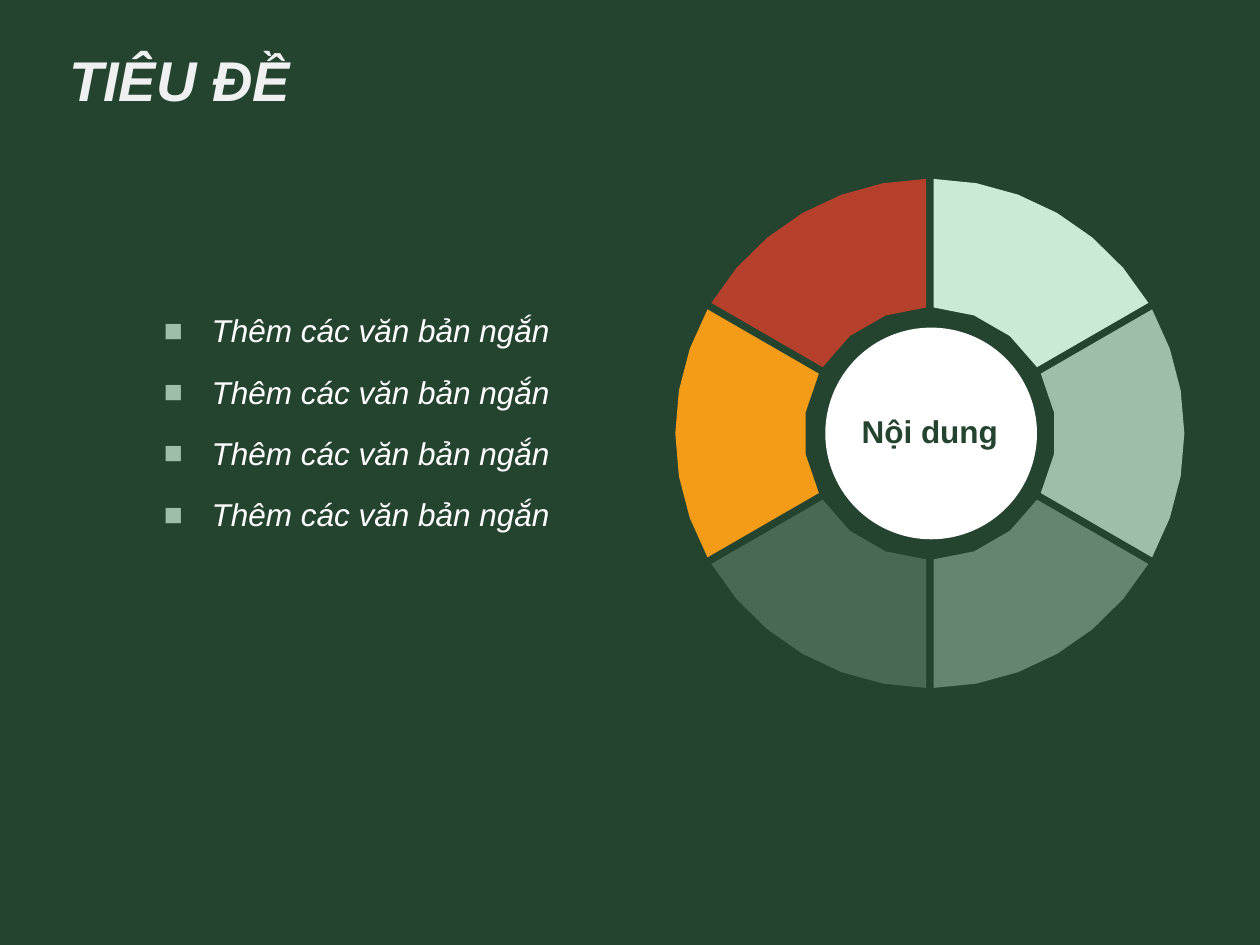
import math
from dataclasses import dataclass

import pptx
import pptx.dml.color
import pptx.enum.shapes
import pptx.enum.text
import pptx.oxml
import pptx.util
from pptx.util import Inches

ALIGN = pptx.enum.text.PP_ALIGN
ANCHOR = pptx.enum.text.MSO_ANCHOR
AUTO_SIZE = pptx.enum.text.MSO_AUTO_SIZE


@dataclass(frozen=True)
class Theme:
    font: str = "Arial"
    background: str = "254430"
    title: str = "EFF1F0"
    white: str = "FFFFFF"
    bullet: str = "9EBEA9"
    # Clockwise from the top
    wheel: tuple = ("CAEAD5", "9EBEA9", "658570", "496954", "F49B17", "B5412C")
    title_size: int = 32
    body_size: int = 18


def rgb(value):
    return pptx.dml.color.RGBColor.from_string(value)


def write(p, text, font, size, color, bold=False, italic=False,
          align=ALIGN.LEFT, before=0, after=0):
    """Add one formatted run to a paragraph."""
    p.alignment = align
    p.space_before, p.space_after = pptx.util.Pt(before), pptx.util.Pt(after)
    r = p.add_run()
    r.text = text
    r.font.name, r.font.size = font, pptx.util.Pt(size)
    r.font.bold, r.font.italic = bold, italic
    r.font.color.rgb = rgb(color)


class SlideBuilder:
    def __init__(self, prs, theme):
        self.theme = theme
        self.s = prs.slides.add_slide(prs.slide_layouts[1])
        self.s.background.fill.solid()
        self.s.background.fill.fore_color.rgb = rgb(theme.background)

    def place(self, sp, left, top, width, height, anchor):
        sp.left, sp.top = Inches(left), Inches(top)
        sp.width, sp.height = Inches(width), Inches(height)
        tf = sp.text_frame
        tf.word_wrap = True
        tf.auto_size = AUTO_SIZE.NONE
        tf.vertical_anchor = anchor
        return tf

    def title(self, text, *box):
        t = self.theme
        tf = self.place(self.s.shapes.title, *box, anchor=ANCHOR.MIDDLE)
        write(tf.paragraphs[0], text, t.font, t.title_size, t.title,
              bold=True, italic=True)

    def bullets(self, items, *box):
        t = self.theme
        tf = self.place(self.s.placeholders[1], *box, anchor=ANCHOR.TOP)
        tf.margin_left = tf.margin_top = tf.margin_bottom = Inches(0.1)
        tf.margin_right = Inches(0.08)
        ns = 'xmlns:a="http://schemas.openxmlformats.org/drawingml/2006/main"'
        for i, item in enumerate(items):
            p = tf.add_paragraph() if i else tf.paragraphs[0]
            write(p, item, t.font, t.body_size, t.white, italic=True, after=13.5)
            pPr = p._p.get_or_add_pPr()
            pPr.set("marL", str(Inches(0.38)))
            pPr.set("indent", str(-Inches(0.38)))
            for xml in (f'<a:buClr {ns}><a:srgbClr val="{t.bullet}"/></a:buClr>',
                        f'<a:buFont {ns} typeface="{t.font}"/>',
                        f'<a:buChar {ns} char="■"/>'):
                pPr.append(pptx.oxml.parse_xml(xml))

    def paint(self, sp, color):
        sp.shadow.inherit = False
        sp.fill.solid()
        sp.fill.fore_color.rgb = rgb(color)
        sp.line.fill.background()

    def sector(self, shapes, cx, cy, inner, outer, start, end, gap, color):
        """Draw a ring sector whose sides stay half a gap from the radii."""
        def arc(radius, steps):
            trim = math.asin(gap / 2 / radius)
            a, b = math.radians(start) + trim, math.radians(end) - trim
            angles = [a + (b - a) * i / steps for i in range(steps + 1)]
            return [(Inches(cx + radius * math.sin(v)),
                     Inches(cy - radius * math.cos(v))) for v in angles]

        points = arc(outer, 6) + arc(inner, 3)[::-1]
        fb = shapes.build_freeform(*points[0])
        fb.add_line_segments(points[1:], close=True)
        self.paint(fb.convert_to_shape(), color)

    def wheel(self, label, cx, cy, inner, outer, hub, gap):
        t = self.theme
        shapes = self.s.shapes.add_group_shape().shapes
        step = 360 / len(t.wheel)
        for i, color in enumerate(t.wheel):
            self.sector(shapes, cx, cy, inner, outer,
                        i * step, (i + 1) * step, gap, color)
        # Hub and its label
        hub_x = cx + 0.01
        sp = shapes.add_shape(pptx.enum.shapes.MSO_SHAPE.OVAL, Inches(hub_x - hub),
                              Inches(cy - hub), Inches(2 * hub), Inches(2 * hub))
        self.paint(sp, t.white)
        tb = shapes.add_textbox(Inches(hub_x - 0.65), Inches(cy - 0.22),
                                Inches(1.3), Inches(0.4))
        tb.text_frame.word_wrap = False
        tb.text_frame.auto_size = AUTO_SIZE.SHAPE_TO_FIT_TEXT
        write(tb.text_frame.paragraphs[0], label, t.font, t.body_size,
              t.background, bold=True)


prs = pptx.Presentation()
prs.slide_width, prs.slide_height = Inches(10), Inches(7.5)
slide = SlideBuilder(prs, Theme())

# Title and list
slide.title("TIÊU ĐỀ", 0.45, 0.27, 5.18, 0.71)
slide.bullets(["Thêm các văn bản ngắn"] * 4, 1.2, 2.37, 4.56, 2.17)

# Six-part wheel
slide.wheel("Nội dung", cx=7.38, cy=3.44, inner=1, outer=2.02, hub=0.84, gap=0.06)

prs.save("out.pptx")
